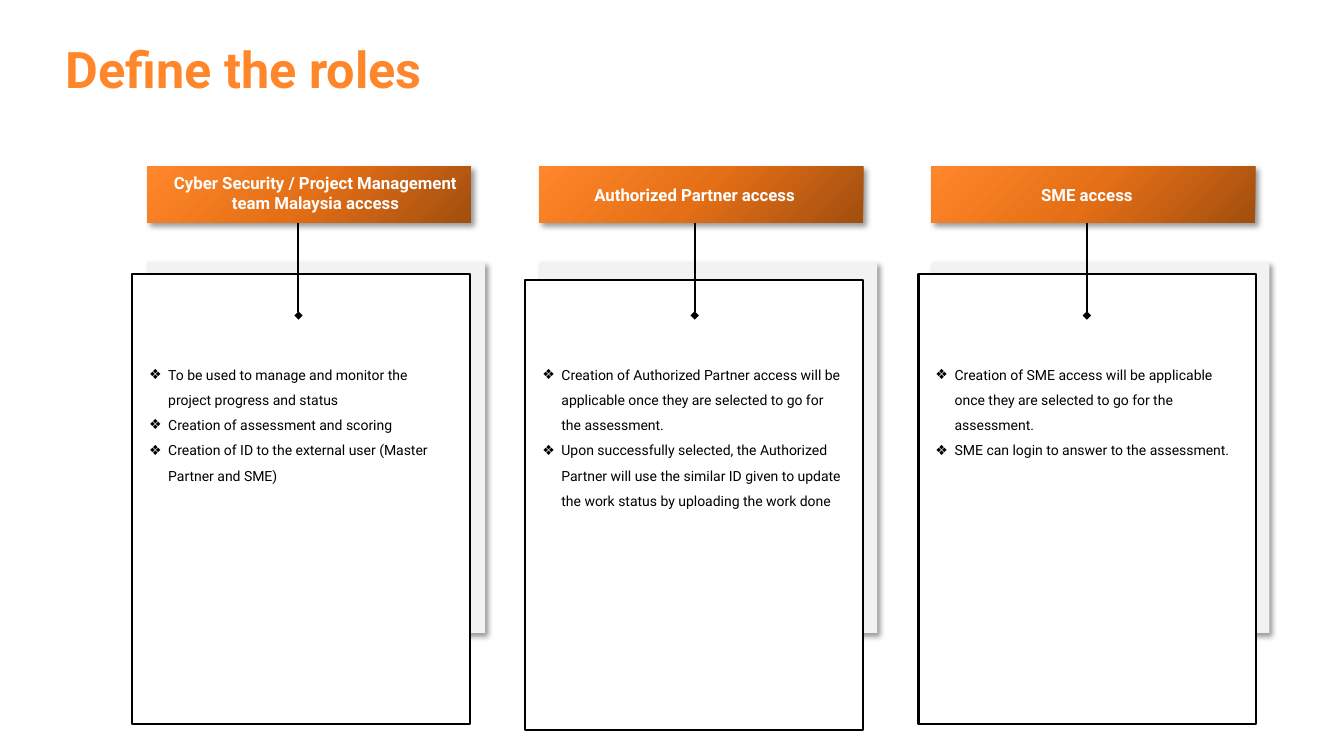
from lxml import etree
from pptx import Presentation
from pptx.dml.color import RGBColor
from pptx.enum.shapes import MSO_CONNECTOR, MSO_SHAPE
from pptx.enum.text import MSO_AUTO_SIZE, PP_ALIGN
from pptx.oxml import parse_xml
from pptx.oxml.ns import nsdecls, qn
from pptx.util import Inches, Pt

RECTANGLE = MSO_SHAPE.RECTANGLE
STRAIGHT = MSO_CONNECTOR.STRAIGHT
GROW = MSO_AUTO_SIZE.SHAPE_TO_FIT_TEXT
LEFT, CENTER = PP_ALIGN.LEFT, PP_ALIGN.CENTER

FONT = "Roboto"
COLORS = {
    "orange": "FF862A",
    "mid_orange": "E46F16",
    "dark_orange": "A14E0F",
    "back_card": "F2F2F2",
    "white": "FFFFFF",
    "black": "000000",
}
HEADER_GRADIENT = [(0, "dark_orange"), (50, "mid_orange"), (100, "orange")]

TITLE = "Define the roles"
# label is left, top, width, height, with left measured from the header;
# stem is measured from the panel's left edge
ROLES = [
    {
        "name": "Cyber Security / Project Management team Malaysia access",
        "duties": [
            "To be used to manage and monitor the project progress and status",
            "Creation of assessment and scoring",
            "Creation of ID to the external user (Master Partner and SME)",
        ],
        "label": (0.09, 1.66, 3.16, 0.5), "stem": 1.65, "panel_top": 2.72,
    },
    {
        "name": "Authorized Partner access",
        "duties": [
            "Creation of Authorized Partner access will be applicable once they "
            "are selected to go for the assessment.",
            "Upon successfully selected, the Authorized Partner will use the "
            "similar ID given to update the work status by uploading the work done",
        ],
        "label": (0.3, 1.78, 2.48, 0.3), "stem": 1.68, "panel_top": 2.78,
    },
    {
        "name": "SME access",
        "duties": [
            "Creation of SME access will be applicable once they are selected "
            "to go for the assessment.",
            "SME can login to answer to the assessment.",
        ],
        "label": (0.3, 1.78, 2.48, 0.3), "stem": 1.67, "panel_top": 2.72,
    },
]

HEADER_LEFT, HEADER_PITCH = 1.46, 3.89
PANEL_LEFT, PANEL_PITCH = 1.31, 3.9
HEADER_TOP, HEADER_WIDTH, HEADER_HEIGHT = 1.65, 3.21, 0.56
CARD_TOP, CARD_WIDTH, CARD_HEIGHT = 2.6, 3.35, 3.68
PANEL_HEIGHT = 4.46
STEM_BOTTOM = 3.13
DUTIES_INSET, DUTIES_TOP = 0.07, 3.5
LINE_HEIGHT = 0.25
BULLET_INDENT = Inches(0.19)


def color(name):
    return RGBColor.from_string(COLORS[name])


def add_rectangle(slide, box, fill=None, line=None):
    shape = slide.shapes.add_shape(RECTANGLE, *map(Inches, box))
    shape.shadow.inherit = False
    if fill:
        shape.fill.solid()
        shape.fill.fore_color.rgb = color(fill)
    if line:
        shape.line.color.rgb = color(line)
        shape.line.width = Pt(1.5)
    else:
        shape.line.fill.background()
    return shape


def add_drop_shadow(shape):
    effects = shape._element.spPr.find(qn("a:effectLst"))
    effects.append(parse_xml(
        f'<a:outerShdw {nsdecls("a")} blurRad="{Pt(4)}" dist="{Pt(3)}" '
        f'dir="2700000" algn="tl" rotWithShape="0">'
        f'<a:srgbClr val="{COLORS["black"]}"><a:alpha val="40000"/></a:srgbClr>'
        f'</a:outerShdw>'))


def apply_header_gradient(shape):
    shape.fill.gradient()
    shape.fill.gradient_angle = 135
    stops = shape._element.spPr.find(qn("a:gradFill")).find(qn("a:gsLst"))
    for stop in list(stops):
        stops.remove(stop)
    for position, name in HEADER_GRADIENT:
        stop = etree.SubElement(stops, qn("a:gs"), pos=str(position * 1000))
        etree.SubElement(stop, qn("a:srgbClr"), val=COLORS[name])


def add_stem(slide, x):
    """Draw the line from a header down into its panel, ending in a diamond."""
    stem = slide.shapes.add_connector(
        STRAIGHT, Inches(x), Inches(HEADER_TOP + HEADER_HEIGHT),
        Inches(x), Inches(STEM_BOTTOM))
    stem.line.color.rgb = color("black")
    stem.line.width = Pt(1.5)
    etree.SubElement(stem.line._get_or_add_ln(), qn("a:tailEnd"), type="diamond")
    etree.SubElement(stem._element.spPr, qn("a:effectLst"))


def add_text(slide, box, lines, size, font_color,
             bold=False, align=LEFT, bullet=None):
    text_box = slide.shapes.add_textbox(*map(Inches, box))
    frame = text_box.text_frame
    frame.word_wrap = True
    frame.auto_size = GROW
    frame.text = "\n".join(lines)
    for paragraph in frame.paragraphs:
        paragraph.alignment = align
        if bullet:
            paragraph.line_spacing = 1.5
            properties = paragraph._p.get_or_add_pPr()
            properties.set("marL", str(BULLET_INDENT))
            properties.set("indent", str(-BULLET_INDENT))
            etree.SubElement(properties, qn("a:buFont"), typeface=FONT)
            etree.SubElement(properties, qn("a:buChar"), char=bullet)
        for run in paragraph.runs:
            run.font.name = FONT
            run.font.size = Pt(size)
            run.font.bold = bold
            run.font.color.rgb = color(font_color)


def add_role(slide, column, role):
    header_left = HEADER_LEFT + column * HEADER_PITCH
    panel_left = PANEL_LEFT + column * PANEL_PITCH

    card = add_rectangle(
        slide, (header_left, CARD_TOP, CARD_WIDTH, CARD_HEIGHT), "back_card")
    add_drop_shadow(card)
    add_rectangle(
        slide, (panel_left, role["panel_top"], CARD_WIDTH, PANEL_HEIGHT),
        "white", "black")
    add_stem(slide, panel_left + role["stem"])

    header = add_rectangle(
        slide, (header_left, HEADER_TOP, HEADER_WIDTH, HEADER_HEIGHT))
    apply_header_gradient(header)
    add_drop_shadow(header)

    label_offset, *label_rest = role["label"]
    add_text(slide, (header_left + label_offset, *label_rest), [role["name"]],
             12, "white", bold=True, align=CENTER)
    add_text(slide, (panel_left + DUTIES_INSET, DUTIES_TOP, HEADER_WIDTH,
                     5 * LINE_HEIGHT),
             role["duties"], 10, "black", bullet="❖")


def main():
    presentation = Presentation()
    presentation.slide_width = Inches(13.33)
    presentation.slide_height = Inches(7.5)
    slide = presentation.slides.add_slide(presentation.slide_layouts[6])
    for column, role in enumerate(ROLES):
        add_role(slide, column, role)
    add_text(slide, (0.55, 0.33, 4.11, 0.71), [TITLE], 36, "orange", bold=True)
    presentation.save("out.pptx")


if __name__ == "__main__":
    main()
